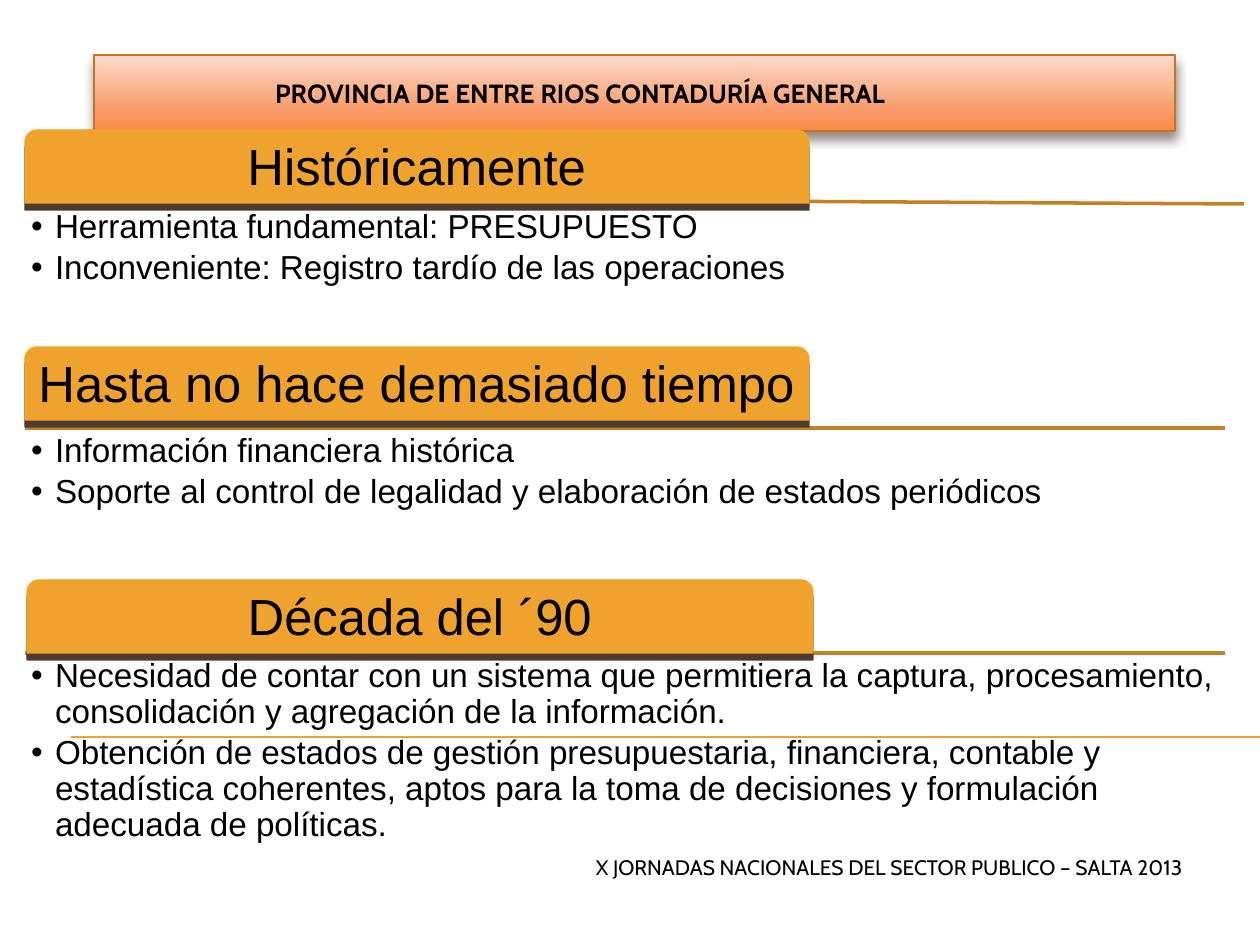
import copy

import pptx
import pptx.dml.color
import pptx.enum.shapes
import pptx.enum.text
import pptx.oxml
import pptx.oxml.ns
import pptx.util

SCALE = 914400 / 126
COLORS = {
    "text": "000000",
    "amber": "F0A22E",
    "rule": "C08225",
    "border": "C17529",
    "shadow": "4E3B30",
}
BANNER_STOPS = [(0, "FDDBCC"), (0.72, "F89B69"), (1, "FC8A43")]
ALIGN = pptx.enum.text.PP_ALIGN
ANCHOR = pptx.enum.text.MSO_ANCHOR


def px(length):
    return pptx.util.Emu(round(length * SCALE))


def rgb(value):
    return pptx.dml.color.RGBColor.from_string(value)


def element(xml):
    namespace = pptx.oxml.ns.nsdecls("a")
    return pptx.oxml.parse_xml(xml.replace("/>", f" {namespace}/>", 1) if xml.endswith("/>")
                               and xml.count("<") == 1 else xml.replace(">", f" {namespace}>", 1))


def write(para, text, size=19, font="Arial", bold=False, align=ALIGN.LEFT, spacing=1.0, after=0):
    para.alignment = align
    para.line_spacing = spacing
    para.space_after = pptx.util.Pt(after)
    span = para.add_run()
    span.text = text
    span.font.size = pptx.util.Pt(size)
    span.font.name = font
    span.font.bold = bold
    span.font.color.rgb = rgb(COLORS["text"])


class SlideWriter:
    def __init__(self, deck):
        self.page = deck.slides.add_slide(deck.slide_layouts[5])

    def frame(self, box, insets, anchor):
        frame = box.text_frame
        frame.word_wrap = True
        frame.auto_size = pptx.enum.text.MSO_AUTO_SIZE.NONE
        frame.vertical_anchor = anchor
        (frame.margin_left, frame.margin_top,
         frame.margin_right, frame.margin_bottom) = map(px, insets)
        return frame

    def shadow(self, shape, blur, alpha):
        shape.shadow.inherit = False
        effects = shape._element.spPr.find(pptx.oxml.ns.qn("a:effectLst"))
        effects.append(element(
            f'<a:outerShdw blurRad="{blur * 12700}" dist="50800" dir="5400000" rotWithShape="0">'
            f'<a:srgbClr val="{COLORS["shadow"]}"><a:alpha val="{alpha * 1000}"/></a:srgbClr>'
            '</a:outerShdw>'))

    def banner(self, text, left, top, width, height):
        title = self.page.shapes.title
        title.left, title.top, title.width, title.height = map(px, (left, top, width, height))
        title.fill.gradient()
        title.fill.gradient_angle = 270
        stops = title.fill.gradient_stops
        last = stops[1]._element
        last.addnext(copy.deepcopy(last))
        for stop, (position, color) in zip(title.fill.gradient_stops, BANNER_STOPS):
            stop.position = position
            stop.color.rgb = rgb(color)
        title.line.color.rgb = rgb(COLORS["border"])
        title.line.width = pptx.util.Pt(0.79)
        self.shadow(title, 6, 60)
        frame = self.frame(title, (181, 6, 12, 6), ANCHOR.MIDDLE)
        write(frame.paragraphs[0], text, size=15, font="Cabin", bold=True)

    def line(self, start, end, color, width):
        line = self.page.shapes.add_connector(
            pptx.enum.shapes.MSO_CONNECTOR.STRAIGHT, *map(px, start + end))
        line.line.color.rgb = rgb(COLORS[color])
        line.line.width = pptx.util.Pt(width)
        line._element.spPr.append(element("<a:effectLst/>"))

    def tab(self, text, left, top, width, height=73):
        tab = self.page.shapes.add_shape(
            pptx.enum.shapes.MSO_SHAPE.ROUND_2_SAME_RECTANGLE,
            *map(px, (left, top, width, height)))
        tab.adjustments[0] = 0.167
        tab.adjustments[1] = 0
        tab.fill.solid()
        tab.fill.fore_color.rgb = rgb(COLORS["amber"])
        tab.line.color.rgb = rgb(COLORS["amber"])
        tab.line.width = pptx.util.Pt(0.79)
        self.shadow(tab, 0, 100)
        frame = self.frame(tab, (0, 8, 0, 6), ANCHOR.MIDDLE)
        write(frame.paragraphs[0], text, size=29, align=ALIGN.CENTER, spacing=0.9)

    def text(self, left, top, width, height, insets):
        box = self.page.shapes.add_textbox(*map(px, (left, top, width, height)))
        return self.frame(box, insets, ANCHOR.TOP)

    def bullets(self, items, top):
        frame = self.text(25, top, 1201, 147, (6, 6, 6, 6))
        for index, item in enumerate(items):
            para = frame.add_paragraph() if index else frame.paragraphs[0]
            write(para, item, spacing=0.9, after=2.85)
            properties = para._p.get_or_add_pPr()
            properties.set("marL", str(px(24)))
            properties.set("indent", str(px(-24)))
            properties.append(element('<a:buFont typeface="Arial"/>'))
            properties.append(element('<a:buChar char="•"/>'))

    def footer(self, text):
        frame = self.text(431, 849, 765, 50, (13, 6, 13, 6))
        write(frame.paragraphs[0], text, size=12, font="Cabin", align=ALIGN.RIGHT)


SECTIONS = [
    ("Históricamente", (25, 130, 784), 204, ((218, 198), (1244, 204)), [
        "Herramienta fundamental: PRESUPUESTO",
        "Inconveniente: Registro tardío de las operaciones",
    ]),
    ("Hasta no hace demasiado tiempo", (25, 347, 784), 428, ((25, 428), (1225, 428)), [
        "Información financiera histórica",
        "Soporte al control de legalidad y elaboración de estados periódicos",
    ]),
    ("Década del ´90", (27, 580, 786), 653, ((25, 653), (1225, 653)), [
        "Necesidad de contar con un sistema que permitiera la captura, procesamiento, "
        "consolidación y agregación de la información.",
        "Obtención de estados de gestión presupuestaria, financiera, contable y estadística "
        "coherentes, aptos para la toma de decisiones y formulación adecuada de políticas.",
    ]),
]


def main():
    deck = pptx.Presentation()
    deck.slide_width, deck.slide_height = px(1260), px(945)
    writer = SlideWriter(deck)
    writer.line((71, 737), (1260, 737), "amber", 0.75)
    writer.banner("PROVINCIA DE ENTRE RIOS CONTADURÍA GENERAL", 94, 55, 1081, 76)
    writer.footer("X JORNADAS NACIONALES DEL SECTOR PUBLICO – SALTA 2013")
    for heading, place, body_top, rule, items in SECTIONS:
        writer.line(*rule, "rule", 2)
        writer.tab(heading, *place)
        writer.bullets(items, body_top)
    deck.save("out.pptx")


if __name__ == "__main__":
    main()
